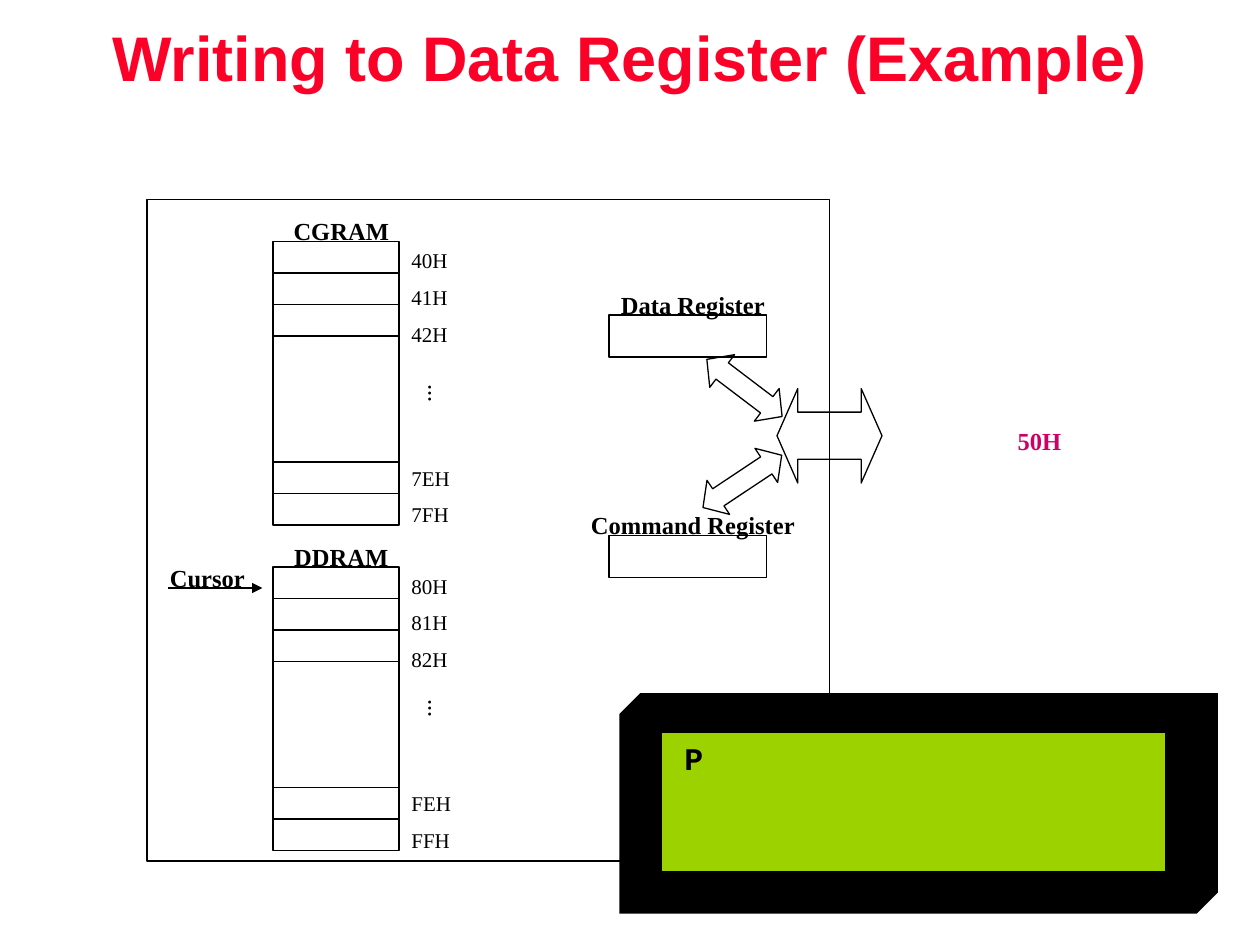
from lxml import etree
from pptx import Presentation
from pptx.dml.color import RGBColor
from pptx.enum.shapes import MSO_CONNECTOR, MSO_SHAPE
from pptx.enum.text import MSO_ANCHOR, MSO_AUTO_SIZE, PP_ALIGN
from pptx.oxml.ns import qn
from pptx.util import Inches, Pt

RECT, ARROW = MSO_SHAPE.RECTANGLE, MSO_SHAPE.LEFT_RIGHT_ARROW
LINE = MSO_CONNECTOR.STRAIGHT
LEFT, MID = PP_ALIGN.LEFT, PP_ALIGN.CENTER
FIT, CENTER = MSO_AUTO_SIZE.SHAPE_TO_FIT_TEXT, MSO_ANCHOR.MIDDLE
UNIT = Inches(1) // 12  # grid of 12 columns and 12 rows to the inch
SERIF = "Times New Roman"
BLACK, GREEN, RED, PINK = "000000", "9BD200", "FC0128", "CC0066"
hue = RGBColor.from_string

deck = Presentation()
deck.slide_width, deck.slide_height = 120 * UNIT, 90 * UNIT
slide = deck.slides.add_slide(deck.slide_layouts[6])
shapes = slide.shapes


def write(spot, lines, size=14, bold=True, color=BLACK, font=SERIF, align=MID):
    """Add a text box at spot, given as left, top, width, height in units."""
    box = shapes.add_textbox(*[int(n * UNIT) for n in spot])
    frame = box.text_frame
    frame.word_wrap, frame.auto_size = True, FIT
    for i, (words, gap) in enumerate(lines):
        para = frame.paragraphs[0] if i == 0 else frame.add_paragraph()
        para.alignment = align
        if i:
            para.space_before = Pt(gap)
        run = para.add_run()
        run.text = words
        run.font.size, run.font.bold, run.font.name = Pt(size), bold, font
        run.font.color.rgb = hue(color)
    return box


def draw(kind, spot, fill=None, turn=0):
    """Add a thin black outline at spot, filled if a colour is given."""
    shape = shapes.add_shape(kind, *[int(n * UNIT) for n in spot])
    shape.shadow.inherit = False
    shape.rotation = turn
    shape.line.color.rgb, shape.line.width = hue(BLACK), Pt(0.75)
    if fill:
        shape.fill.solid()
        shape.fill.fore_color.rgb = hue(fill)
    else:
        shape.fill.background()
    return shape


# Title and controller outline
title = write((0, 0, 120, 11.6), [("Writing to Data Register (Example)", 0)],
              36, color=RED, font="Arial")
title.text_frame.auto_size = MSO_AUTO_SIZE.NONE
title.text_frame.vertical_anchor = CENTER
title.text_frame.paragraphs[0].line_spacing = 0.9
draw(RECT, (14, 19, 65, 63))

# Registers
for name, top, left, wide in [("Command Register", 51, 54, 24),
                              ("Data Register", 30, 57, 18)]:
    draw(RECT, (58, top, 15, 4))
    write((left, top - 3, wide, 3.7), [(name, 0)])

# Memories; the lines hold start and end of each rule, with its weight
rules = [(16, 25, 56, 1.5)]
for name, top, dots, cells in [
        ("DDRAM", 54, 11.6, ["80H", "81H", "82H", "FEH", "FFH"]),
        ("CGRAM", 23, 12.6, ["40H", "41H", "42H", "7EH", "7FH"])]:
    draw(RECT, (26, top, 12, 27))
    write((22, top - 3, 21, 3.7), [(name, 0)])
    gaps = [0, 6.6, 6.6, 67.9, 6.6]
    write((38, top, 9, 27), list(zip(cells, gaps)), 12, False, align=LEFT)
    write((38.4, top + dots, 7, 3.7), [("...", 0)], bold=False).rotation = 90
    rules += [(26, 38, top + row, 0.75) for row in (3, 6, 9, 21, 24)]

for start, end, row, weight in rules:
    rule = shapes.add_connector(LINE, start * UNIT, row * UNIT, end * UNIT, row * UNIT)
    rule.line.color.rgb, rule.line.width = hue(BLACK), Pt(weight)
    props = rule.line._get_or_add_ln()
    if weight > 1:
        etree.SubElement(props, qn("a:tailEnd"), type="triangle")
    etree.SubElement(props.getparent(), qn("a:effectLst"))
write((15, 53, 17, 3.7), [("Cursor", 0)], align=LEFT)

# Bus arrows and the byte on the bus
for spot, turn, head in [((74, 37, 10, 9), 0, 0.22),
                         ((66.4, 35, 9, 3.9), 37.2, 0.47),
                         ((66.2, 43.9, 9, 3.9), 326.4, 0.45)]:
    arrow = draw(ARROW, spot, turn=turn)
    arrow.adjustments[0], arrow.adjustments[1] = 0.5, head
write((94, 40, 10, 3.7), [("50H", 0)], color=PINK)

# Display: a raised black case with a green screen
path = shapes.build_freeform(59, 68, scale=UNIT)
path.add_line_segments([(61, 66), (116, 66), (116, 84.6), (114, 86.6), (59, 86.6)])
case = path.convert_to_shape()
case.shadow.inherit = False
case.fill.solid()
case.fill.fore_color.rgb = hue(BLACK)
case.line.fill.background()
draw(RECT, (63, 69.8, 48, 13.2), GREEN)
write((64, 69.8, 4, 4.8), [("P", 0)], 18, font="Courier New", align=LEFT)

deck.save("out.pptx")
